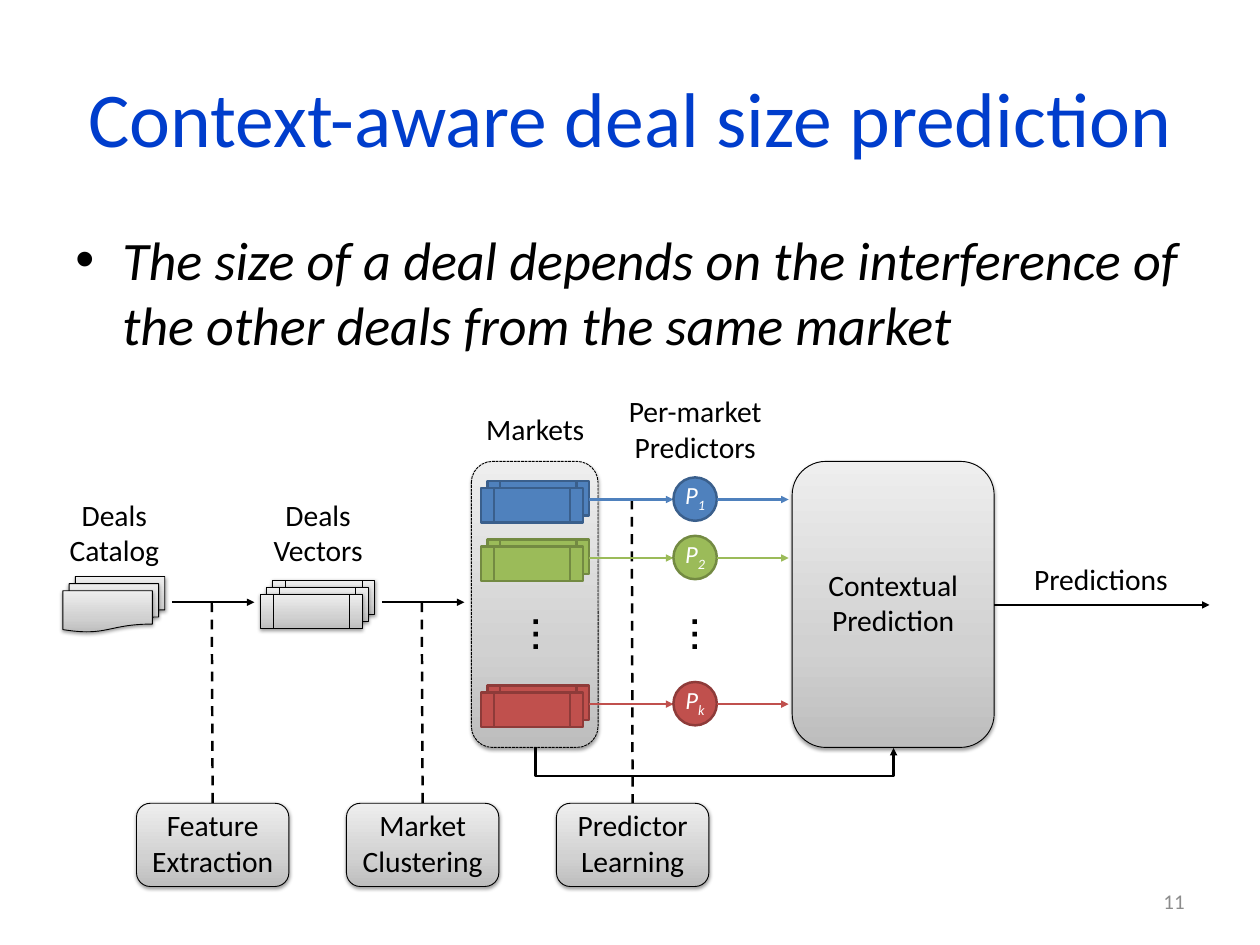
from copy import deepcopy

from pptx import Presentation, util as u
from pptx.dml.color import RGBColor
from pptx.enum import dml, shapes, text as t
from pptx.oxml import parse_xml
from pptx.oxml.ns import nsdecls, qn

PX = 9144  # one px is a hundredth of an inch
BLACK = RGBColor(0x00, 0x00, 0x00)
WHITE = RGBColor(0xFF, 0xFF, 0xFF)
GREY = RGBColor(0x8C, 0x8C, 0x8C)
TITLE_BLUE = RGBColor(0x00, 0x3D, 0xCC)
BLUE, DARK_BLUE = RGBColor(0x4F, 0x81, 0xBD), RGBColor(0x3A, 0x5F, 0x8C)
GREEN, DARK_GREEN = RGBColor(0x9B, 0xBB, 0x59), RGBColor(0x73, 0x8A, 0x42)
RED, DARK_RED = RGBColor(0xC0, 0x50, 0x4D), RGBColor(0x8E, 0x3B, 0x39)
SILVER = [(0, RGBColor(0xBD, 0xBD, 0xBD)), (0.35, RGBColor(0xD1, 0xD1, 0xD1)),
          (1, RGBColor(0xEE, 0xEE, 0xEE))]

SHAPE = shapes.MSO_SHAPE
ALIGN = t.PP_ALIGN
ANCHOR = t.MSO_ANCHOR


def emu(*lengths):
    return [u.Emu(length * PX) for length in lengths]


def place(shape, box):
    shape.left, shape.top, shape.width, shape.height = emu(*box)


def write(shape, words, size, color=BLACK, font="Calibri", align=ALIGN.CENTER,
          anchor=ANCHOR.MIDDLE, insets=(10, 0, 10, 5), italic=False, wrap=True):
    frame = shape.text_frame
    frame.text = words
    frame.word_wrap = wrap
    frame.auto_size = t.MSO_AUTO_SIZE.NONE
    frame.vertical_anchor = anchor
    (frame.margin_left, frame.margin_top,
     frame.margin_right, frame.margin_bottom) = emu(*insets)
    paragraph = frame.paragraphs[0]
    paragraph.alignment = align
    style_run(paragraph.runs[0], size, color, font, italic)
    return paragraph


def style_run(run, size, color, font="Calibri", italic=False):
    run.font.size = u.Pt(size)
    run.font.color.rgb = color
    run.font.name = font
    run.font.italic = italic


def add_label(slide, words, box, size=24, anchor=ANCHOR.TOP,
              insets=(10, 5, 10, 5), **options):
    label = slide.shapes.add_textbox(*emu(*box))
    write(label, words, size, anchor=anchor, insets=insets, **options)
    return label


def add_flat(slide, kind, box, fill, outline):
    shape = slide.shapes.add_shape(kind, *emu(*box))
    shape.shadow.inherit = False
    shape.fill.solid()
    shape.fill.fore_color.rgb = fill
    shape.line.color.rgb = outline
    shape.line.width = u.Pt(2)
    return shape


def add_silver(slide, kind, box):
    """Shape with the grey gradient, thin outline and soft shadow."""
    shape = slide.shapes.add_shape(kind, *emu(*box))
    shape.fill.gradient()
    shape.fill.gradient_angle = 90
    properties = shape.element.spPr
    first_stop = properties.find(".//" + qn("a:gs"))
    first_stop.addnext(deepcopy(first_stop))
    for stop, (position, color) in zip(shape.fill.gradient_stops, SILVER):
        stop.position = position
        stop.color.rgb = color
    shape.line.color.rgb = BLACK
    shape.line.width = u.Pt(0.75)
    shape.shadow.inherit = False
    properties.find(qn("a:effectLst")).append(parse_xml(
        f'<a:outerShdw {nsdecls("a")} blurRad="39370" dist="20320" dir="5400000" '
        'rotWithShape="0"><a:srgbClr val="000000"><a:alpha val="38000"/>'
        '</a:srgbClr></a:outerShdw>'))
    return shape


def add_line(slide, start, end, color=BLACK, dashed=False,
             kind=shapes.MSO_CONNECTOR.STRAIGHT):
    """Dashed plain line, or solid line with an arrowhead at its end."""
    line = slide.shapes.add_connector(kind, *emu(*start, *end))
    line.line.color.rgb = color
    line.line.width = u.Pt(2)
    properties = line.element.spPr
    if dashed:
        line.line.dash_style = dml.MSO_LINE.DASH
    else:
        properties.find(qn("a:ln")).append(
            parse_xml(f'<a:tailEnd {nsdecls("a")} type="triangle"/>'))
    properties.append(parse_xml(f'<a:effectLst {nsdecls("a")}/>'))
    return line


def add_stack(count, front_box, add_card):
    """Overlapping cards, from the back one to the front one."""
    left, top, width, height = front_box
    for depth in reversed(range(count)):
        add_card((left + 7 * depth, top - 8 * depth, width, height))


def fill_placeholders(slide, title_box, body_box):
    title, body = slide.shapes.title, slide.placeholders[1]
    place(title, title_box)
    place(body, body_box)
    write(title, "Context-aware deal size prediction", 63, TITLE_BLUE,
          insets=(14, 7, 14, 7))
    paragraph = write(
        body, "The size of a deal depends on the interference of the other deals "
        "from the same market", 44, align=ALIGN.LEFT, anchor=ANCHOR.TOP,
        insets=(14, 7, 14, 7), italic=True)
    paragraph.space_before = u.Pt(0)
    properties = paragraph._p.get_or_add_pPr()
    properties.set("marL", str(53 * PX))
    properties.set("indent", str(-53 * PX))
    properties.append(parse_xml(f'<a:buChar {nsdecls("a")} char="•"/>'))


def add_step(slide, words, box, line_top):
    """Processing step with a dashed line up to the flow."""
    left, top, width, _ = box
    center = left + width // 2
    add_line(slide, (center - 1, line_top), (center, top), dashed=True)
    write(add_silver(slide, SHAPE.ROUNDED_RECTANGLE, box), words, 24)


def add_source(slide, words, kind, label_box, card_box):
    """Labelled stack of three grey cards, with an arrow onwards."""
    add_stack(3, card_box, lambda box: add_silver(slide, kind, box))
    add_label(slide, words, label_box)
    start = card_box[0] + card_box[2] + 22
    add_line(slide, (start, 680), (start + 93, 680))


def add_market_row(slide, left, middle, letter, fill, outline):
    """Market cards, their predictor and the arrows between them."""
    add_stack(2, (left, middle - 13, 115, 39), lambda box: add_flat(
        slide, SHAPE.FLOWCHART_PREDEFINED_PROCESS, box, fill, outline))
    add_line(slide, (left + 122, middle), (left + 217, middle), fill)
    predictor = add_flat(slide, SHAPE.OVAL, (left + 217, middle - 25, 49, 49),
                         fill, outline)
    paragraph = write(predictor, "P", 20, WHITE, insets=(0, 0, 0, 5), italic=True)
    subscript = paragraph.add_run()
    subscript.text = letter
    style_run(subscript, 20, WHITE, italic=True)
    subscript._r.get_or_add_rPr().set("baseline", "-25000")
    add_line(slide, (left + 266, middle), (left + 347, middle), fill)


def add_markets(slide, box):
    left, top, width, _ = box
    panel = add_silver(slide, SHAPE.ROUNDED_RECTANGLE, box)
    panel.line.dash_style = dml.MSO_LINE.SQUARE_DOT
    add_label(slide, "Markets", (left + 1, top - 62, width - 1, 51))
    add_label(slide, "Per-market Predictors", (left + 150, top - 82, 205, 91))
    for dots_left in (left + 32, left + 212):
        dots = add_label(slide, "…", (dots_left, top + 138, 81, 114), 43,
                         font="Cabin", insets=(10, 0, 10, 41))
        dots.rotation = 270
    for row_top, letter, fill, outline in [(43, "1", BLUE, DARK_BLUE),
                                           (109, "2", GREEN, DARK_GREEN),
                                           (274, "k", RED, DARK_RED)]:
        add_market_row(slide, left + 11, top + row_top, letter, fill, outline)


def add_contextual_prediction(slide, box):
    left, top, width, height = box
    write(add_silver(slide, SHAPE.ROUNDED_RECTANGLE, box),
          "Contextual Prediction", 24)
    right, middle = left + width, top + height // 2
    add_label(slide, "Predictions", (right + 34, middle - 53, 173, 50), wrap=False)
    add_line(slide, (right, middle + 1), (right + 243, middle + 1))


def add_markets_link(slide, center, bottom, span):
    """Elbow arrow below the panels, a flat upright connector turned by 270°."""
    link = add_line(slide, (center + 1, bottom - span // 2),
                    (center, bottom + span // 2),
                    kind=shapes.MSO_CONNECTOR.ELBOW)
    properties = link.element.spPr
    properties.find(qn("a:xfrm")).set("rot", "16200000")
    properties.find(".//" + qn("a:avLst")).append(
        parse_xml(f'<a:gd {nsdecls("a")} name="adj1" fmla="val 3300000"/>'))


def main():
    presentation = Presentation()
    presentation.slide_width, presentation.slide_height = emu(1422, 1067)
    slide = presentation.slides.add_slide(presentation.slide_layouts[1])
    fill_placeholders(slide, (71, 43, 1280, 178), (71, 249, 1280, 704))
    add_label(slide, "11", (1019, 989, 332, 57), 17, color=GREY, align=ALIGN.RIGHT,
              anchor=ANCHOR.MIDDLE, insets=(14, 7, 14, 7))

    # Steps below the flow
    steps = [("Feature Extraction", 680), ("Market Clustering", 680),
             ("Predictor Learning", 564)]
    for index, (words, line_top) in enumerate(steps):
        add_step(slide, words, (154 + 237 * index, 907, 172, 94), line_top)

    # Flow from left to right
    add_source(slide, "Deals Catalog", SHAPE.FLOWCHART_DOCUMENT,
               (58, 556, 142, 91), (71, 667, 101, 47))
    add_source(slide, "Deals Vectors", SHAPE.FLOWCHART_PREDEFINED_PROCESS,
               (288, 556, 142, 91), (294, 671, 115, 39))
    add_markets(slide, (532, 521, 143, 323))
    add_contextual_prediction(slide, (894, 521, 228, 323))
    add_markets_link(slide, 806, 844, 404)
    presentation.save("out.pptx")


if __name__ == "__main__":
    main()
